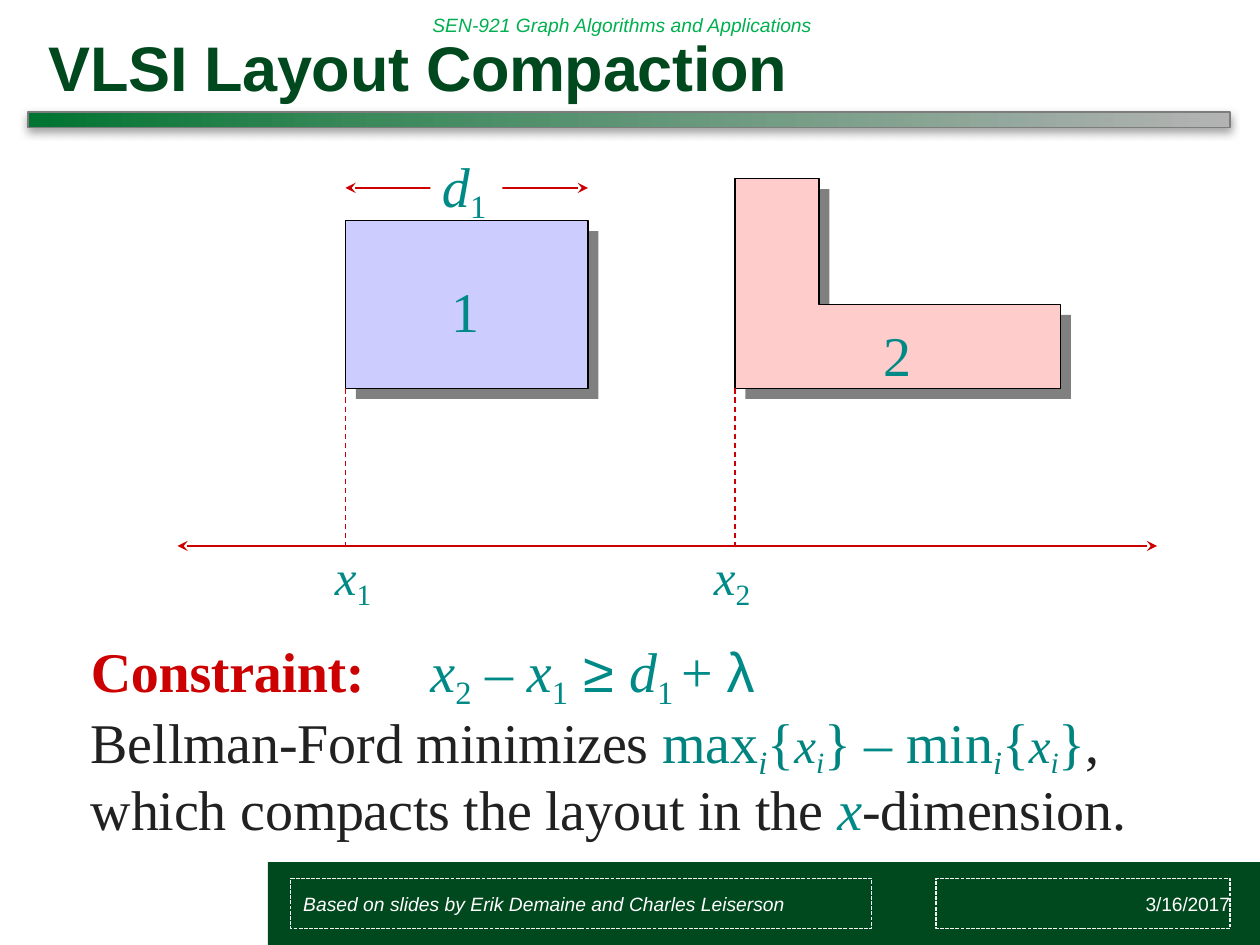
import copy
from dataclasses import dataclass
from typing import Optional

import lxml.etree
import pptx
import pptx.dml.color
import pptx.enum.dml
import pptx.enum.shapes
import pptx.enum.text
import pptx.oxml
import pptx.oxml.ns
import pptx.util

# The slide is a grid of 120 columns by 90 rows, twelve cells to the inch
CELL = pptx.util.Inches(1) // 12
COLUMNS, ROWS = 120, 90

COLORS = {
    "forest": "00481E", "header": "00B050", "white": "FFFFFF", "black": "000000",
    "red": "CC0000", "teal": "008A87", "deep teal": "008480", "ink": "212121",
    "shade": "808080", "lilac": "CCCCFF", "pink": "FFCCCC",
    "bar line": "7D7D7D", "frame": "F2F2F2",
}
BAR_STOPS = [(0, "007430"), (0.29, "3C895C"), (1, "B3B3B3")]
SANS, SERIF = "Arial", "Times New Roman"
ALIGN = pptx.enum.text.PP_ALIGN
ANCHOR = pptx.enum.text.MSO_ANCHOR
DASH = pptx.enum.dml.MSO_LINE
RECTANGLE = pptx.enum.shapes.MSO_SHAPE.RECTANGLE


@dataclass(frozen=True)
class Area:
    column: float
    row: float
    columns: float
    rows: float

    def lengths(self) -> list[int]:
        return [cells(n) for n in (self.column, self.row, self.columns, self.rows)]


@dataclass(frozen=True)
class Span:
    text: str
    italic: bool = False
    subscript: bool = False
    color: Optional[str] = None
    size: Optional[float] = None
    font: Optional[str] = None
    spacing: Optional[float] = None


@dataclass(frozen=True)
class Label:
    area: Area
    spans: list[Span]
    size: float = 32
    color: str = "teal"
    bold: bool = False
    line_spacing: Optional[float] = None


def cells(count: float) -> int:
    return round(count * CELL)


def rgb(name: str) -> pptx.dml.color.RGBColor:
    return pptx.dml.color.RGBColor.from_string(COLORS[name])


def write(shape, spans, *, size=32, color="teal", font=SERIF, bold=False, italic=False,
          align=ALIGN.LEFT, anchor=ANCHOR.TOP, inset=0.0, left=None,
          spacing=-0.2, line_spacing=None) -> None:
    """Fill a shape with one paragraph; insets are in cells."""
    frame = shape.text_frame
    frame.word_wrap = True
    frame.auto_size = pptx.enum.text.MSO_AUTO_SIZE.NONE
    frame.vertical_anchor = anchor
    frame.margin_left = cells(inset if left is None else left)
    frame.margin_right = cells(inset)
    frame.margin_top = frame.margin_bottom = cells(inset / 2)
    paragraph = frame.paragraphs[0]
    paragraph.alignment = align
    if line_spacing:
        paragraph.line_spacing = pptx.util.Pt(line_spacing)
    for span in [Span(spans)] if isinstance(spans, str) else spans:
        run = paragraph.add_run()
        run.text = span.text
        run.font.name = span.font or font
        run.font.size = pptx.util.Pt(span.size or size)
        run.font.bold = bold
        run.font.italic = italic or span.italic
        run.font.color.rgb = rgb(span.color or color)
        properties = run._r.get_or_add_rPr()
        tracking = spacing if span.spacing is None else span.spacing
        properties.set("spc", str(round(tracking * 100)))
        if span.subscript:
            properties.set("baseline", "-21000")


def paint(shape, fill: Optional[str] = None, line: Optional[str] = None,
          width: float = 0.75, dash=None):
    shape.shadow.inherit = False
    if fill:
        shape.fill.solid()
        shape.fill.fore_color.rgb = rgb(fill)
    else:
        shape.fill.background()
    if line:
        shape.line.color.rgb = rgb(line)
        shape.line.width = pptx.util.Pt(width)
        if dash:
            shape.line.dash_style = dash
    else:
        shape.line.fill.background()
    return shape


def rectangle(slide, area: Area, **look):
    return paint(slide.shapes.add_shape(RECTANGLE, *area.lengths()), **look)


def polygon(slide, points: list[tuple[float, float]], **look):
    builder = slide.shapes.build_freeform(*points[0], scale=CELL)
    builder.add_line_segments(points[1:], close=True)
    return paint(builder.convert_to_shape(), **look)


def line(slide, start: tuple, end: tuple, *, width: float, dash=None, arrows=False) -> None:
    connector = slide.shapes.add_connector(
        pptx.enum.shapes.MSO_CONNECTOR.STRAIGHT, *map(cells, start + end))
    connector.line.color.rgb = rgb("red")
    connector.line.width = pptx.util.Pt(width)
    if dash:
        connector.line.dash_style = dash
    properties = connector._element.spPr
    if arrows:
        outline = properties.find(pptx.oxml.ns.qn("a:ln"))
        for end_name in ("a:headEnd", "a:tailEnd"):
            lxml.etree.SubElement(outline, pptx.oxml.ns.qn(end_name), type="stealth")
    lxml.etree.SubElement(properties, pptx.oxml.ns.qn("a:effectLst"))


def gradient_bar(slide, area: Area) -> None:
    bar = rectangle(slide, area, line="bar line", width=1)
    bar.fill.gradient()
    bar.fill.gradient_angle = 0
    stop_list = bar._element.spPr.find(".//" + pptx.oxml.ns.qn("a:gsLst"))
    stop_list.append(copy.deepcopy(stop_list[-1]))
    for stop, (position, color) in zip(bar.fill.gradient_stops, BAR_STOPS):
        stop.position = position
        stop.color.rgb = pptx.dml.color.RGBColor.from_string(color)
    effects = bar._element.spPr.find(pptx.oxml.ns.qn("a:effectLst"))
    effects.append(pptx.oxml.parse_xml(
        f'<a:outerShdw {pptx.oxml.ns.nsdecls("a")} blurRad="63500" dist="25400" dir="5400000">'
        f'<a:srgbClr val="{COLORS["shade"]}"><a:alpha val="75000"/></a:srgbClr></a:outerShdw>'))


def variable(name: str, index: str, index_size: Optional[float] = None) -> list[Span]:
    return [Span(name, italic=True, spacing=-0.1),
            Span(index, subscript=True, size=index_size, spacing=0)]


def bracketed(function: str) -> list[Span]:
    teal = "deep teal"
    return [Span(function, color=teal),
            Span("i", italic=True, subscript=True, color=teal),
            Span("{", color=teal),
            Span("x", italic=True, size=28, color=teal, spacing=-0.1),
            Span("i", italic=True, subscript=True, size=29, color=teal, spacing=-0.1),
            Span("}", color=teal)]


# Drawing positions: block edges, their common base, and the axis below
X1, X2, BASE, AXIS = 32.9, 70, 37, 52
BLOCK_WIDTH, ARROW_ROW = 23.1, 17.9

LABELS = [
    Label(Area(43, 26.3, 3, 6.5), [Span("1")]),
    Label(Area(84.1, 30.5, 3, 6.5), [Span("2")]),
    Label(Area(X1 - 1, 51.85, 4, 5.6), variable("x", "1", 29), size=28),
    Label(Area(X2 - 2, 51.85, 4, 5.6), variable("x", "2", 29), size=28),
    Label(Area(8.65, 60.6, 26.8, 6.5), [Span("Constraint:")], color="red", bold=True),
    Label(Area(41, 60.6, 32.2, 6.5), [
        *variable("x", "2"), Span(" – "), *variable("x", "1"), Span(" ≥ ", font=SANS),
        *variable("d", "1 "), Span("+ "), Span("λ", font=SANS)]),
    Label(Area(8.65, 68.65, 100.1, 11.75), [
        Span("Bellman-Ford minimizes ", spacing=-0.1), *bracketed("max"),
        Span(" – ", color="teal"), *bracketed("min"), Span(", which ", spacing=-0.1),
        Span("compacts "), Span("the layout in the ", spacing=-0.1),
        Span("x", italic=True, color="teal", spacing=-0.1),
        Span("-dimension.", spacing=-0.1)], color="ink", line_spacing=34.6),
]


def main() -> None:
    presentation = pptx.Presentation()
    presentation.slide_width, presentation.slide_height = COLUMNS * CELL, ROWS * CELL
    slide = presentation.slides.add_slide(presentation.slide_layouts[5])

    # Title, course header and bar
    title = slide.shapes.title
    title.left, title.top, title.width, title.height = Area(2.64, 2.64, 114.5, 7.3).lengths()
    write(title, "VLSI Layout Compaction", size=36, color="forest", font=SANS, bold=True,
          anchor=ANCHOR.MIDDLE, left=2)
    header = slide.shapes.add_textbox(*Area(40, 0, 55.3, 4.8).lengths())
    write(header, "SEN-921 Graph Algorithms and Applications", size=11, color="header",
          font=SANS, italic=True, anchor=ANCHOR.MIDDLE, inset=1.2, spacing=0)
    gradient_bar(slide, Area(2.64, 10.7, 114.5, 1.44))

    # Footer
    rectangle(slide, Area(25.5, 82.1, 94.5, 7.9), fill="forest")
    footer = dict(size=11, color="white", font=SANS, anchor=ANCHOR.MIDDLE)
    frame = dict(line="frame", dash=DASH.SQUARE_DOT)
    credit = rectangle(slide, Area(27.7, 83.65, 55.3, 4.8), **frame)
    write(credit, "Based on slides by Erik Demaine and Charles Leiserson", italic=True,
          inset=1.2, spacing=0, **footer)
    date = rectangle(slide, Area(89.15, 83.65, 28, 4.8), **frame)
    write(date, "3/16/2017", align=ALIGN.RIGHT, spacing=-0.1, **footer)

    # Width arrow with its label in a gap
    line(slide, (X1, ARROW_ROW), (X1 + BLOCK_WIDTH, ARROW_ROW), width=1.25, arrows=True)
    rectangle(slide, Area(41, 13.7, 6.85, 6.95), fill="white")
    write(slide.shapes.add_textbox(*Area(42.1, 14.4, 4.8, 6.7).lengths()), variable("d", "1"))

    # Blocks, each over a shade shifted by one cell
    corner = [(0, -20), (0, 0), (31, 0), (31, -8), (8, -8), (8, -20)]
    for shift, fills, outline in ((1, ("shade", "shade"), None), (0, ("lilac", "pink"), "black")):
        rectangle(slide, Area(X1 + shift, BASE - 16 + shift, BLOCK_WIDTH, 16),
                  fill=fills[0], line=outline)
        polygon(slide, [(X2 + x + shift, BASE + y + shift) for x, y in corner],
                fill=fills[1], line=outline)

    # Axis and dashed drops
    line(slide, (16.9, AXIS), (110.2, AXIS), width=1.25, arrows=True)
    for edge in (X1, X2):
        line(slide, (edge, BASE), (edge, AXIS), width=0.75, dash=DASH.DASH)

    # Labels and statement
    for label in LABELS:
        write(slide.shapes.add_textbox(*label.area.lengths()), label.spans, size=label.size,
              color=label.color, bold=label.bold, line_spacing=label.line_spacing)

    presentation.save("out.pptx")


if __name__ == "__main__":
    main()
